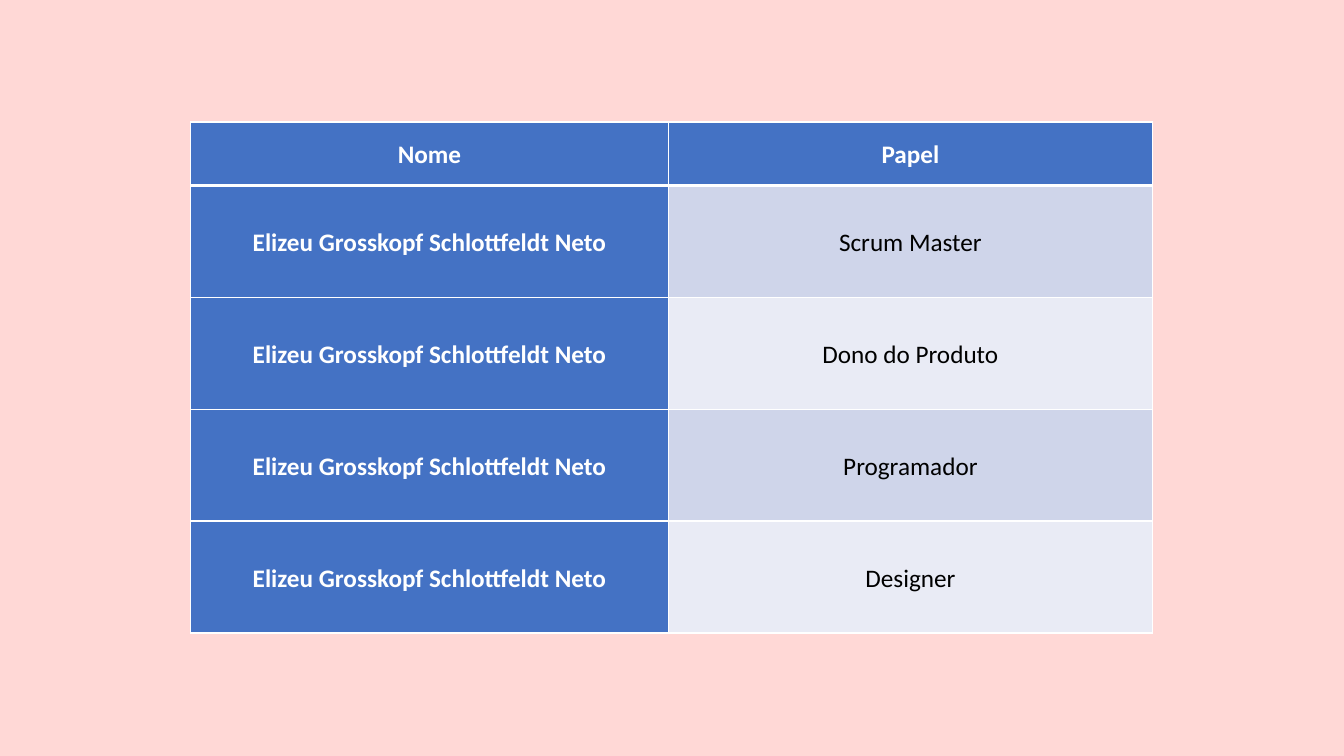
from lxml import etree
from pptx import Presentation
from pptx.dml.color import RGBColor
from pptx.enum.shapes import MSO_SHAPE
from pptx.enum.text import MSO_ANCHOR, PP_ALIGN
from pptx.oxml.ns import qn
from pptx.util import Inches, Pt

SLANT = MSO_SHAPE.PARALLELOGRAM
MIDDLE = MSO_ANCHOR.MIDDLE
CENTER = PP_ALIGN.CENTER

HUES = {
    "pink": "FFD8D6",
    "blue": "4472C4",
    "dark": "CFD5EA",
    "light": "E9EBF5",
    "white": "FFFFFF",
    "black": "000000",
}
WIDE, HIGH = Inches(13.33), Inches(7.5)
LEFT, TOP = Inches(1.89), Inches(1.21)
COLS = [Inches(4.74), Inches(4.8)]
HEAD, ROW = Inches(0.63), Inches(1.11)
NAME = "Elizeu Grosskopf Schlottfeldt Neto"
ROLES = ["Scrum Master", "Dono do Produto", "Programador", "Designer"]


def paint(item, hue):
    item.fill.solid()
    item.fill.fore_color.rgb = RGBColor.from_string(HUES[hue])


def write(frame, text, hue="black", bold=False, size=18, font="Calibri"):
    para = frame.paragraphs[0]
    para.alignment = CENTER
    para.line_spacing = 1.1
    para.space_after = Pt(12)
    run = para.add_run()
    run.text = text
    run.font.name = font
    run.font.size = Pt(size)
    run.font.bold = bold
    run.font.color.rgb = RGBColor.from_string(HUES[hue])


def edge(cell, **sides):
    props = cell._tc.get_or_add_tcPr()
    for spot, side in enumerate("LRTB"):
        line = etree.Element(qn(f"a:ln{side}"), w=str(Pt(sides.get(side, 1))))
        fill = etree.SubElement(line, qn("a:solidFill"))
        etree.SubElement(fill, qn("a:srgbClr"), val=HUES["white"])
        props.insert(spot, line)


def backdrop(slide):
    shape = slide.shapes.add_shape(SLANT, 0, 0, WIDE, HIGH)
    shape.adjustments[0] = 0
    shape.shadow.inherit = False
    shape.line.fill.background()
    paint(shape, "pink")


def team(slide):
    rows = [("Nome", "Papel")] + [(NAME, role) for role in ROLES]
    tall = HEAD + ROW * len(ROLES)
    table = slide.shapes.add_table(
        len(rows), len(COLS), LEFT, TOP, sum(COLS), tall
    ).table
    table.first_col = True
    for col, width in zip(table.columns, COLS):
        col.width = width
    for r, texts in enumerate(rows):
        table.rows[r].height = ROW if r else HEAD
        for c, text in enumerate(texts):
            cell = table.cell(r, c)
            strong = r == 0 or c == 0
            band = "dark" if r % 2 else "light"
            cell.vertical_anchor = MIDDLE
            cell.margin_left = cell.margin_right = Inches(0.07)
            cell.margin_top = cell.margin_bottom = 0
            paint(cell, "blue" if strong else band)
            edge(cell, T=3 if r == 1 else 1, B=1 if r else 3)
            write(cell.text_frame, text, bold=strong,
                  hue="white" if strong else "black")


def main():
    deck = Presentation()
    deck.slide_width, deck.slide_height = WIDE, HIGH
    slide = deck.slides.add_slide(deck.slide_layouts[6])
    backdrop(slide)
    team(slide)
    deck.save("out.pptx")


if __name__ == "__main__":
    main()
